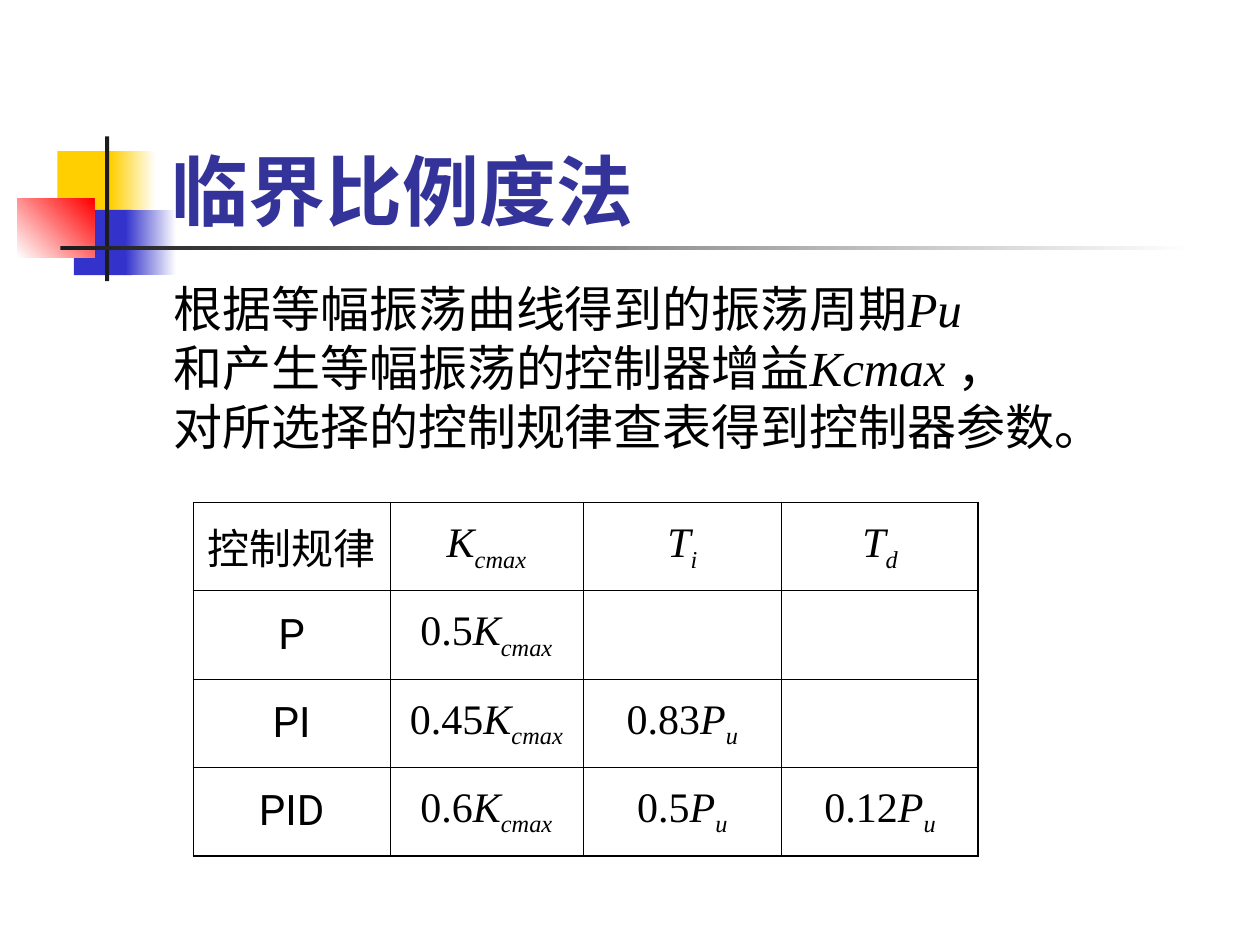
import pptx
import pptx.dml.color
import pptx.enum.shapes
import pptx.enum.text
import pptx.oxml
import pptx.oxml.ns
import pptx.util

Cm, Pt = pptx.util.Cm, pptx.util.Pt
ALIGN, ANCHOR = pptx.enum.text.PP_ALIGN, pptx.enum.text.MSO_ANCHOR
COLORS = {
    "white": "FFFFFF", "black": "000000", "yellow": "FFCF01", "blue": "3333CC",
    "red": "FF0000", "dark": "1C1C1C", "title": "333399",
}
CJK, SERIF, SANS = "Noto Sans CJK SC", "Times New Roman", "Roboto"


def rgb(name):
    return pptx.dml.color.RGBColor.from_string(COLORS[name])


def add_run(p, text, color="black", baseline=0, **fmt):
    """Add a run; fmt holds font attributes such as name, size, bold, italic."""
    r = p.add_run()
    r.text = text
    for key, value in fmt.items():
        setattr(r.font, key, value)
    r.font.color.rgb = rgb(color)
    rPr = r._r.get_or_add_rPr()
    if baseline:
        rPr.set("baseline", str(baseline * 1000))
    ea = rPr.makeelement(pptx.oxml.ns.qn("a:ea"), {"typeface": CJK})
    rPr.find(pptx.oxml.ns.qn("a:latin")).addnext(ea)


def add_rect(slide, box, start, end=None, angle=0):
    """Add a plain rectangle, or a gradient one when an end colour is given."""
    sp = slide.shapes.add_shape(
        pptx.enum.shapes.MSO_SHAPE.RECTANGLE, *(Cm(v) for v in box))
    sp.shadow.inherit = False
    sp.line.fill.background()
    if end is None:
        sp.fill.solid()
        sp.fill.fore_color.rgb = rgb(start)
        return
    sp.fill.gradient()
    sp.fill.gradient_angle = angle
    for stop, position, color in zip(sp.fill.gradient_stops, (0, 1), (start, end)):
        stop.position = position
        stop.color.rgb = rgb(color)


def add_emblem(slide, left, top):
    """Overlapping colour blocks with a vertical bar and a fading rule."""
    parts = [
        ((0.81, 0.3, 1.22, 1.32), "yellow"),
        ((1.88, 0.3, 0.91, 1.32), "yellow", "white"),
        ((1.14, 1.48, 1.17, 1.32), "blue"),
        ((2.18, 1.48, 1.02, 1.32), "blue", "white"),
        ((0, 1.26, 1.55, 1.18), "white", "red", 45),
        ((1.77, 0, 0.08, 2.92), "dark"),
        ((0.87, 2.2, 22.86, 0.09), "dark", "white"),
    ]
    for (x, y, w, h), *fill in parts:
        add_rect(slide, (left + x, top + y, w, h), *fill)


def add_title(slide, left, top, width, height):
    tf = slide.shapes.add_textbox(Cm(left), Cm(top), Cm(width), Cm(height)).text_frame
    tf.word_wrap = True
    tf.vertical_anchor = ANCHOR.BOTTOM
    add_run(tf.paragraphs[0], "临界比例度法", "title", name=CJK, size=Pt(44), bold=True)


def add_body(slide, left, top, width, height):
    lines = [
        [("根据等幅振荡曲线得到的振荡周期", False), ("Pu", True)],
        [("和产生等幅振荡的控制器增益", False), ("Kcmax ", True), ("，", False)],
        [("对所选择的控制规律查表得到控制器参数。", False)],
    ]
    tf = slide.shapes.add_textbox(Cm(left), Cm(top), Cm(width), Cm(height)).text_frame
    tf.word_wrap = False
    tf.auto_size = pptx.enum.text.MSO_AUTO_SIZE.SHAPE_TO_FIT_TEXT
    for i, line in enumerate(lines):
        p = tf.add_paragraph() if i else tf.paragraphs[0]
        for text, italic in line:
            add_run(p, text, name=SERIF, size=Pt(28), italic=italic)


def set_borders(cell, widths):
    """Draw the four cell borders; widths maps L, R, T, B to points."""
    tcPr = cell._tc.get_or_add_tcPr()
    for side, width in widths.items():
        tcPr.append(pptx.oxml.parse_xml(
            f'<a:ln{side} {pptx.oxml.ns.nsdecls("a")} w="{Pt(width)}"><a:solidFill>'
            f'<a:srgbClr val="{COLORS["black"]}"/></a:solidFill></a:ln{side}>'))


def add_parameter_table(slide, left, top, col_widths, row_height):
    # Each formula is (number, symbol, subscript)
    rows = [
        ("控制规律", ("", "K", "cmax"), ("", "T", "i"), ("", "T", "d")),
        ("P", ("0.5", "K", "cmax"), None, None),
        ("PI", ("0.45", "K", "cmax"), ("0.83", "P", "u"), None),
        ("PID", ("0.6", "K", "cmax"), ("0.5", "P", "u"), ("0.12", "P", "u")),
    ]
    n_rows, n_cols = len(rows), len(col_widths)
    table = slide.shapes.add_table(
        n_rows, n_cols, Cm(left), Cm(top),
        Cm(sum(col_widths)), Cm(row_height * n_rows)).table
    table.first_row = table.horz_banding = False
    for col, width in zip(table.columns, col_widths):
        col.width = Cm(width)
    outer, inner = 1.08, 0.45
    for i, row in enumerate(rows):
        table.rows[i].height = Cm(row_height)
        for j, content in enumerate(row):
            cell = table.cell(i, j)
            edges = {"L": j == 0, "R": j == n_cols - 1,
                     "T": i == 0, "B": i == n_rows - 1}
            set_borders(cell, {s: outer if e else inner for s, e in edges.items()})
            cell.fill.background()
            cell.vertical_anchor = ANCHOR.MIDDLE
            p = cell.text_frame.paragraphs[0]
            p.alignment = ALIGN.CENTER
            if j == 0:
                add_run(p, content, name=SANS, size=Pt(24))
            elif content:
                number, symbol, sub = content
                fmt = {"name": SERIF, "size": Pt(24)}
                if number:
                    add_run(p, number, **fmt)
                add_run(p, symbol, italic=True, **fmt)
                add_run(p, sub, baseline=-25, italic=True, **fmt)


def main():
    prs = pptx.Presentation()
    prs.slide_width, prs.slide_height = Cm(25.4), Cm(19.05)
    slide = prs.slides.add_slide(prs.slide_layouts[6])
    add_emblem(slide, 0.35, 2.75)
    add_title(slide, 3.2, 1.7, 21.64, 3.18)
    add_parameter_table(slide, 3.9, 10.13, (3.96, 3.89, 4.01, 3.96), 1.78)
    add_body(slide, 3.25, 5.5, 19.25, 3.81)
    prs.save("out.pptx")


if __name__ == "__main__":
    main()
